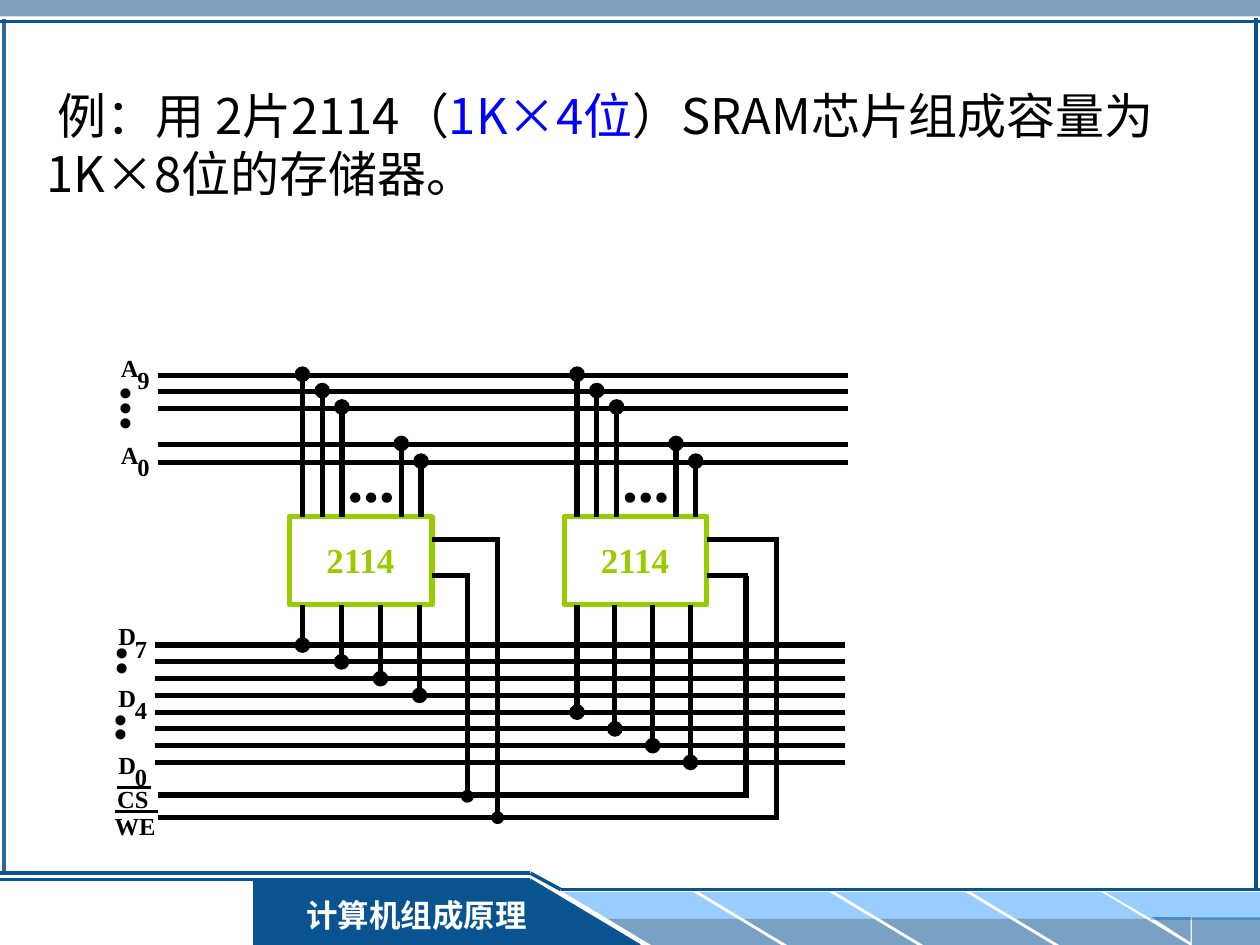
from pptx import Presentation
from pptx.dml.color import RGBColor
from pptx.enum.shapes import MSO_CONNECTOR, MSO_SHAPE
from pptx.enum.text import MSO_ANCHOR, MSO_AUTO_SIZE, PP_ALIGN
from pptx.oxml.ns import qn
from pptx.util import Cm, Pt
from lxml.etree import SubElement

BLACK, WHITE, NAVY, SKY, GREEN = "000000", "FFFFFF", "095391", "99CCFF", "99CC00"
SERIF, SANS = "Times New Roman", "Noto Sans CJK SC"


def color(hex_string):
    return RGBColor.from_string(hex_string)


def inch(value):
    return Cm(value * 2.54)


class Page:
    """Holds the slide being drawn and the style of its elements."""

    def __init__(self, deck):
        self.slide = deck.slides.add_slide(deck.slide_layouts[5])
        self.shapes = self.slide.shapes

    def style_run(self, run, size, hue, font=SERIF, bold=False):
        run.font.size, run.font.bold, run.font.name = Pt(size), bold, font
        run.font.color.rgb = color(hue)
        east_asian = SubElement(run._r.get_or_add_rPr(), qn("a:ea"))
        east_asian.set("typeface", SANS)

    def title(self, left, top, width, height, parts, size):
        box = self.shapes.title
        box.left, box.top, box.width, box.height = map(inch, (left, top, width, height))
        frame = box.text_frame
        frame.word_wrap, frame.auto_size = True, MSO_AUTO_SIZE.NONE
        frame.vertical_anchor = MSO_ANCHOR.TOP
        para = frame.paragraphs[0]
        para.alignment, para.line_spacing = PP_ALIGN.LEFT, Pt(33)
        for words, hue in parts:
            run = para.add_run()
            run.text = words
            self.style_run(run, size, hue, SANS)

    def text(self, left, top, width, height, words, size, hue=BLACK, bold=True,
             align=PP_ALIGN.LEFT, vertical=False):
        box = self.shapes.add_textbox(*map(inch, (left, top, width, height)))
        frame = box.text_frame
        frame.word_wrap = vertical
        frame.margin_left = frame.margin_right = inch(0.05 if vertical else 0)
        frame.margin_top = frame.margin_bottom = 0
        if vertical:
            frame._txBody.bodyPr.set("vert", "eaVert")
        para = frame.paragraphs[0]
        para.text, para.alignment = words, align
        self.style_run(para.runs[0], size, hue, bold=bold)

    def shape(self, kind, left, top, width, height, fill=None, line=None,
              alpha=None, flip=""):
        shape = self.shapes.add_shape(kind, *map(inch, (left, top, width, height)))
        shape.shadow.inherit = False
        if fill:
            shape.fill.solid()
            shape.fill.fore_color.rgb = color(fill)
        else:
            shape.fill.background()
        if alpha:
            tint = shape._element.spPr.find(".//" + qn("a:srgbClr"))
            SubElement(tint, qn("a:alpha")).set("val", str(alpha * 1000))
        if line:
            shape.line.color.rgb, shape.line.width = color(line), Pt(3)
        else:
            shape.line.fill.background()
        for axis in flip:
            shape._element.spPr.find(qn("a:xfrm")).set("flip" + axis, "1")
        return shape

    def line(self, x1, y1, x2, y2, hue=BLACK, width=3, dot=False):
        line = self.shapes.add_connector(MSO_CONNECTOR.STRAIGHT, *map(inch, (x1, y1, x2, y2)))
        line.line.color.rgb, line.line.width = color(hue), Pt(width)
        if dot:
            SubElement(line.line._get_or_add_ln(), qn("a:tailEnd")).set("type", "oval")
        SubElement(line._element.spPr, qn("a:effectLst"))

    def dot(self, x, y, size=0.06):
        self.shape(MSO_SHAPE.OVAL, x - size / 2, y - size / 2, size, size, BLACK, BLACK)

    def label(self, x, y, letter, index):
        self.text(x, y, 0.14, 0.23, letter, 14)
        self.text(x + 0.13, y + 0.1, 0.1, 0.23, index, 14)


def draw_frame(page):
    # Top band and border lines
    page.shape(MSO_SHAPE.RECTANGLE, 0, 0, 10, 0.13, "336699", alpha=63)
    page.line(0.03, 0.15, 0.03, 6.93, "336699", 2)
    page.line(0, 0.17, 10, 0.17, NAVY, 2)
    page.line(9.97, 0.14, 9.97, 7.07, NAVY, 2)

    # Slanted stripes of the footer
    for i in range(4):
        for left, top, fill, alpha in ((4.47, 7.08, SKY, None), (4.82, 7.29, NAVY, 54)):
            stripe = page.shape(MSO_SHAPE.PARALLELOGRAM, left + 1.08 * i, top, 1.38, 0.21,
                                fill, alpha=alpha, flip="H")
            stripe.adjustments[0] = 1.66
    page.shape(MSO_SHAPE.RECTANGLE, 9.13, 7.08, 0.87, 0.22, SKY)
    page.shape(MSO_SHAPE.RIGHT_TRIANGLE, 8.77, 7.08, 0.38, 0.22, SKY, flip="HV")
    page.shape(MSO_SHAPE.RECTANGLE, 9.46, 7.28, 0.54, 0.22, NAVY, alpha=54)
    page.shape(MSO_SHAPE.RIGHT_TRIANGLE, 9.14, 7.28, 0.31, 0.2, NAVY, alpha=54, flip="HV")

    # Course name tab
    page.shape(MSO_SHAPE.RECTANGLE, 2.01, 6.98, 2.2, 0.52, NAVY)
    page.shape(MSO_SHAPE.RIGHT_TRIANGLE, 4.2, 6.98, 0.87, 0.52, NAVY)
    page.line(5.08, 7.5, 4.21, 6.98, NAVY, 1)
    page.line(0, 6.98, 4.21, 6.98, NAVY, 1.5)
    page.line(0, 6.93, 4.21, 6.93, NAVY, 2)
    page.line(4.21, 6.93, 4.45, 7.06, NAVY, 2)
    page.line(4.45, 7.06, 10, 7.06, NAVY, 2)
    page.text(2.28, 7.11, 2.05, 0.35, "计算机组成原理", 18, WHITE, align=PP_ALIGN.CENTER)


def draw_buses(page, address_rows, data_rows):
    for y in address_rows:
        page.line(1.25, y, 6.73, y)
    for y in data_rows:
        page.line(1.23, y, 6.71, y)
    for x, y, letter, index in ((0.96, 2.8, "A", "9"), (0.96, 3.49, "A", "0"),
                                (0.94, 4.93, "D", "7"), (0.94, 5.42, "D", "4"),
                                (0.94, 5.95, "D", "0")):
        page.label(x, y, letter, index)
    for x, y, height, dots in ((0.87, 3.07, 0.49, "•••"), (0.84, 5.13, 0.36, "••"),
                               (0.83, 5.66, 0.36, "••")):
        page.text(x, y, 0.4, height, dots, 24, bold=False, vertical=True)

    # Control lines with overbars on their names
    page.line(1.25, 6.31, 5.93, 6.31)
    page.line(1.25, 6.49, 6.17, 6.49)
    page.text(0.93, 6.22, 0.25, 0.23, "CS", 14)
    page.line(0.93, 6.25, 1.2, 6.25, width=1.5)
    page.text(0.91, 6.44, 0.33, 0.23, "WE", 14)
    page.line(0.91, 6.44, 1.25, 6.44, width=1.5)


def draw_chip(page, left, address_rows, data_rows, pin_gap, select_x, write_x):
    page.shape(MSO_SHAPE.RECTANGLE, left, 4.1, 1.13, 0.7, line=GREEN)
    page.text(left + 0.29, 4.27, 0.56, 0.33, "2114", 20, GREEN)
    first_pin = left + 0.1

    # Address pins, with an ellipsis in the gap
    for slot, y in zip((0, 1, 2, 5, 6), address_rows):
        x = first_pin + 0.157 * slot
        page.line(x, 4.1, x, y - 0.01, dot=True)
    for i in range(3):
        page.dot(left + 0.52 + 0.125 * i, 3.95, 0.04)

    # Data pins
    for i, y in enumerate(data_rows):
        x = first_pin + pin_gap * i
        page.line(x, 4.8, x, y, dot=True)

    # Chip select and write enable
    for x, y, bus in ((select_x, 4.57, 6.31), (write_x, 4.28, 6.49)):
        page.line(left + 1.13, y, x + 0.02, y)
        page.line(x, y, x, bus + 0.02)


def main():
    deck = Presentation()
    deck.slide_width, deck.slide_height = inch(10), inch(7.5)
    page = Page(deck)
    draw_frame(page)
    page.title(0.27, 0.64, 9.57, 1.04, (
        (" 例：用 2片2114（", BLACK), ("1K×4位", "0000FF"),
        ("）SRAM芯片组成容量为1K×8位的存储器。", BLACK)), 28)

    address_rows = (2.98, 3.11, 3.24, 3.53, 3.67)
    data_rows = [5.12 + 0.133 * i for i in range(8)]
    draw_buses(page, address_rows, data_rows)
    draw_chip(page, 2.3, address_rows, data_rows[:4], 0.31, 3.71, 3.95)
    draw_chip(page, 4.48, address_rows, data_rows[4:], 0.3, 5.92, 6.16)

    # Junctions on the control lines
    page.dot(3.71, 6.32)
    page.dot(3.95, 6.49)
    deck.save("out.pptx")


if __name__ == "__main__":
    main()
